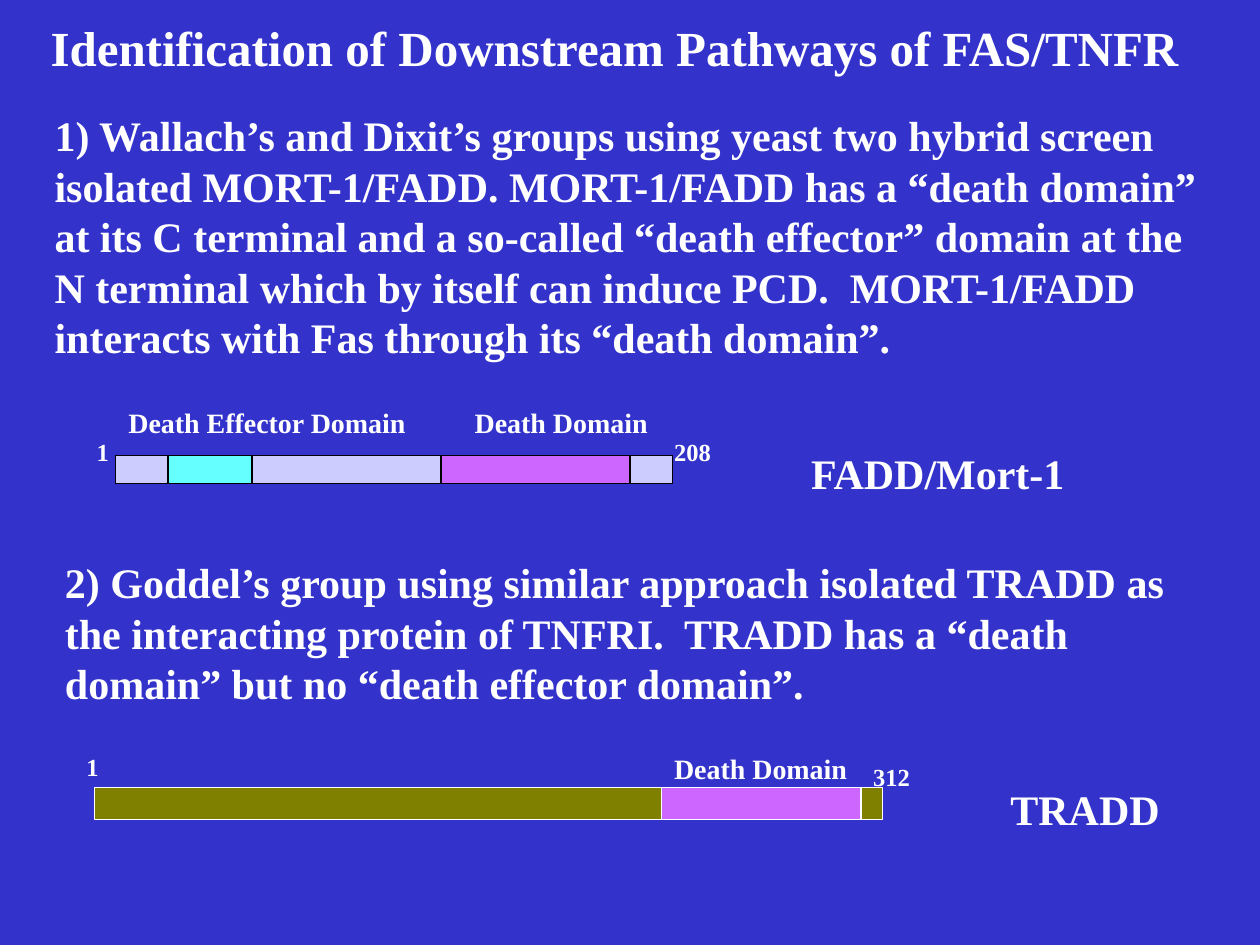
from dataclasses import dataclass

from pptx import Presentation
from pptx.dml.color import RGBColor
from pptx.enum.shapes import MSO_SHAPE
from pptx.enum.text import MSO_ANCHOR, MSO_AUTO_SIZE, PP_ALIGN
from pptx.slide import Slide
from pptx.util import Cm, Pt

BLUE = RGBColor(0x33, 0x33, 0xCC)
WHITE = RGBColor(0xFF, 0xFF, 0xFF)
BLACK = RGBColor(0x00, 0x00, 0x00)
LAVENDER = RGBColor(0xCC, 0xCC, 0xFF)
PURPLE = RGBColor(0xCC, 0x66, 0xFF)
CYAN = RGBColor(0x66, 0xFF, 0xFF)
OLIVE = RGBColor(0x80, 0x80, 0x00)

BODY, DOMAIN, RESIDUE = 24, 16, 14


@dataclass(frozen=True)
class Label:
    text: str
    left: float
    top: float
    width: float
    height: float
    size: int


@dataclass(frozen=True)
class Segment:
    left: float
    width: float
    fill: RGBColor


@dataclass(frozen=True)
class Protein:
    top: float
    height: float
    outline: RGBColor
    segments: tuple[Segment, ...]
    labels: tuple[Label, ...]


FADD = Protein(
    9.19, 0.56, BLACK,
    (
        Segment(2.33, 11.23, LAVENDER),
        Segment(8.89, 3.81, PURPLE),
        Segment(3.39, 1.69, CYAN),
    ),
    (
        Label("Death Domain", 9.32, 8.05, 3.99, 0.94, DOMAIN),
        Label("Death Effector Domain", 2.34, 8.05, 6.1, 0.94, DOMAIN),
        Label("FADD/Mort-1", 16.1, 8.89, 5.66, 1.27, BODY),
        Label("1", 1.7, 8.69, 0.77, 0.86, RESIDUE),
        Label("208", 13.34, 8.69, 1.27, 0.86, RESIDUE),
    ),
)
TRADD = Protein(
    15.88, 0.64, WHITE,
    (
        Segment(1.91, 15.88, OLIVE),
        Segment(13.34, 4.02, PURPLE),
    ),
    (
        Label("TRADD", 20.12, 15.67, 3.51, 1.27, BODY),
        Label("Death Domain", 13.34, 15.03, 3.99, 0.94, DOMAIN),
        Label("312", 17.35, 15.24, 1.27, 0.86, RESIDUE),
        Label("1", 1.49, 15.03, 0.77, 0.86, RESIDUE),
    ),
)

TITLE = Label("Identification of Downstream Pathways of FAS/TNFR",
              0.42, 0.21, 23.93, 1.48, 28)
FADD_TEXT = Label(
    "1) Wallach’s and Dixit’s groups using yeast two hybrid screen "
    "isolated MORT-1/FADD. MORT-1/FADD has a “death domain” at its C "
    "terminal and a so-called “death effector” domain at the N terminal "
    "which by itself can induce PCD.  MORT-1/FADD interacts with Fas "
    "through its “death domain”.",
    0.85, 2.09, 23.93, 5.33, BODY)
TRADD_TEXT = Label(
    "2) Goddel’s group using similar approach isolated TRADD as the "
    "interacting protein of TNFRI.  TRADD has a “death domain” but no "
    "“death effector domain”.",
    1.06, 11.1, 23.5, 3.3, BODY)


def add_text(s: Slide, label: Label, *, wrap: bool = False,
             align: PP_ALIGN = PP_ALIGN.LEFT,
             anchor: MSO_ANCHOR = MSO_ANCHOR.TOP,
             fit: MSO_AUTO_SIZE = MSO_AUTO_SIZE.SHAPE_TO_FIT_TEXT) -> None:
    """Add a bold white text box."""
    sp = s.shapes.add_textbox(Cm(label.left), Cm(label.top),
                              Cm(label.width), Cm(label.height))
    tf = sp.text_frame
    tf.word_wrap = wrap
    tf.auto_size = fit
    tf.vertical_anchor = anchor
    p = tf.paragraphs[0]
    p.alignment = align
    r = p.add_run()
    r.text = label.text
    r.font.name = "Times New Roman"
    r.font.size = Pt(label.size)
    r.font.bold = True
    r.font.color.rgb = WHITE


def add_protein(s: Slide, protein: Protein) -> None:
    """Draw a protein bar with its domains and labels."""
    for segment in protein.segments:
        sp = s.shapes.add_shape(MSO_SHAPE.RECTANGLE,
                                Cm(segment.left), Cm(protein.top),
                                Cm(segment.width), Cm(protein.height))
        sp.shadow.inherit = False
        sp.fill.solid()
        sp.fill.fore_color.rgb = segment.fill
        sp.line.color.rgb = protein.outline
        sp.line.width = Pt(0.75)
    for label in protein.labels:
        add_text(s, label)


def main() -> None:
    """Build and save the slide."""
    prs = Presentation()
    prs.slide_width, prs.slide_height = Cm(25.4), Cm(19.05)
    s = prs.slides.add_slide(prs.slide_layouts[6])
    s.background.fill.solid()
    s.background.fill.fore_color.rgb = BLUE
    add_text(s, TITLE, wrap=True, align=PP_ALIGN.CENTER,
             anchor=MSO_ANCHOR.MIDDLE, fit=MSO_AUTO_SIZE.NONE)
    for text, protein in ((FADD_TEXT, FADD), (TRADD_TEXT, TRADD)):
        add_text(s, text, wrap=True)
        add_protein(s, protein)
    prs.save("out.pptx")


if __name__ == "__main__":
    main()
